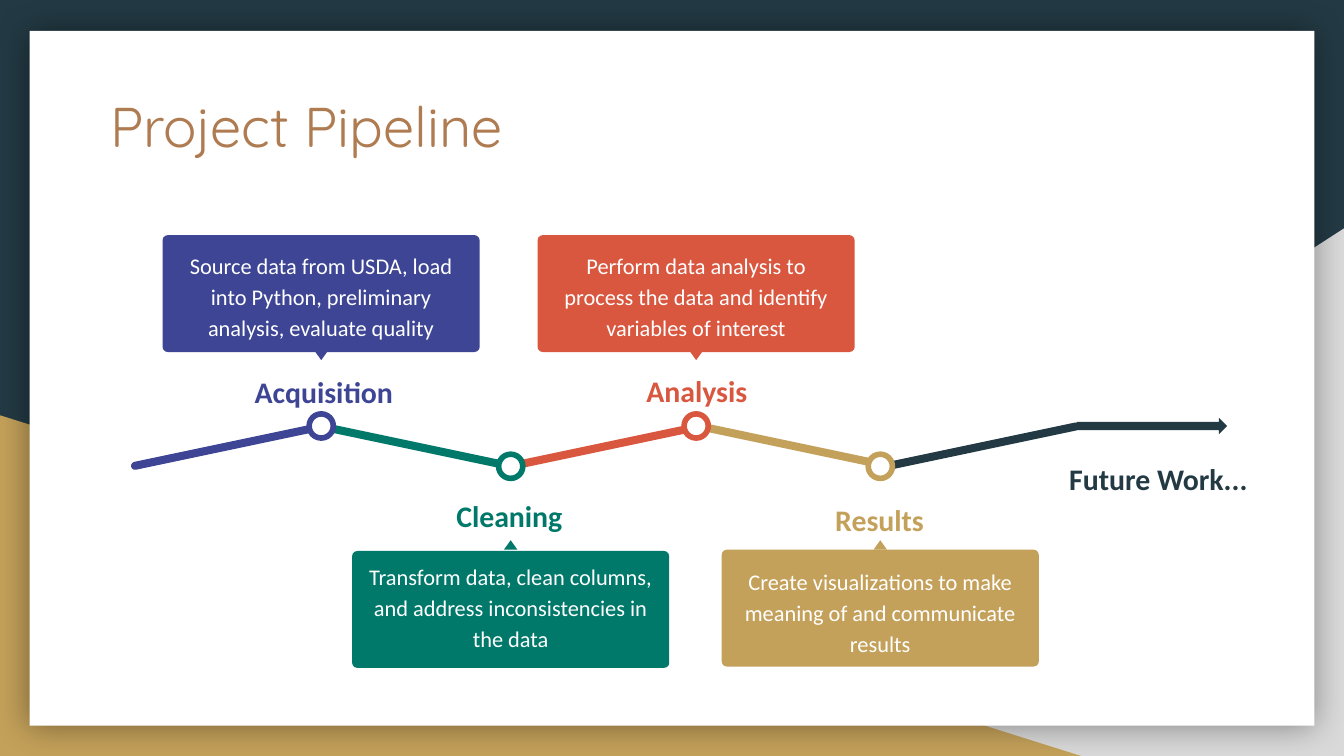
from lxml import etree
from pptx import Presentation
from pptx.dml.color import RGBColor
from pptx.enum import shapes, text
from pptx.oxml.ns import qn
from pptx.util import Inches, Pt

NAVY, GOLD, WHITE = "233A44", "C4A15A", "FFFFFF"
INDIGO, GREEN, RED = "3D4594", "00796B", "D9563F"
KIND = shapes.MSO_SHAPE

deck = Presentation()
deck.slide_width = Inches(10)
deck.slide_height = Inches(10) * 9 // 16
slide = deck.slides.add_slide(deck.slide_layouts[6])
slide.background.fill.solid()
slide.background.fill.fore_color.rgb = RGBColor.from_string(NAVY)


def add_block(kind, left, top, width, height, color, rotation=0):
    block = slide.shapes.add_shape(kind, Inches(left), Inches(top), Inches(width), Inches(height))
    block.shadow.inherit = False
    block.fill.solid()
    block.fill.fore_color.rgb = RGBColor.from_string(color)
    block.line.fill.background()
    block.rotation = rotation
    return block


def add_words(words, left, top, width, height, size, color, font="Calibri", bold=False, centered=True):
    frame = slide.shapes.add_textbox(Inches(left), Inches(top), Inches(width), Inches(height)).text_frame
    frame.word_wrap = True
    frame.margin_left = frame.margin_right = frame.margin_top = frame.margin_bottom = Inches(0.1)
    paragraph = frame.paragraphs[0]
    if centered:
        paragraph.alignment = text.PP_ALIGN.CENTER
        paragraph.line_spacing = 1.15
        paragraph.space_after = Pt(16)
    run = paragraph.add_run()
    run.text = words
    run.font.name, run.font.size, run.font.bold = font, Pt(size), bold
    run.font.color.rgb = RGBColor.from_string(color)


gray_corner = add_block(KIND.RIGHT_TRIANGLE, 3.92, 1.7, 6.08, 3.93, "D9D9D9")
gray_corner._element.spPr.xfrm.set("flipH", "1")
add_block(KIND.RIGHT_TRIANGLE, 0, 3.09, 8.06, 2.54, GOLD)

panel = add_block(KIND.RECTANGLE, 0.22, 0.23, 9.56, 5.17, WHITE)
effects = panel._element.spPr.find(qn("a:effectLst"))
glow = etree.SubElement(effects, qn("a:outerShdw"), blurRad=str(Pt(18)), dist="0", algn="ctr", rotWithShape="0")
black = etree.SubElement(glow, qn("a:srgbClr"), val="000000")
etree.SubElement(black, qn("a:alpha"), val="40000")

add_words("Project Pipeline", 0.72, 0.58, 8.21, 1.04, 30, "AF7B51", font="Quicksand", centered=False)

segments = [(6.57, NAVY), (5.17, GOLD), (3.77, RED), (2.35, GREEN), (0.96, INDIGO)]
for index, (left, color) in enumerate(segments):
    segment = add_block(KIND.ROUNDED_RECTANGLE, left, 3.29, 1.48, 0.06, color, 11.9 if index % 2 else 348.1)
    segment.adjustments[0] = 0.5
add_block(KIND.RIGHT_ARROW, 8.01, 3.11, 1.12, 0.12, NAVY)

stages = [
    ("Acquisition", 2.39, INDIGO, (1.52, 2.64, 1.78, 0.5), 1.75, 1.75,
     "Source data from USDA, load into Python, preliminary analysis, evaluate quality"),
    ("Cleaning", 3.8, GREEN, (3.02, 3.56, 1.54, 0.41), 4.1, 4.06,
     "Transform data, clean columns, and address inconsistencies in the data"),
    ("Analysis", 5.18, RED, (4.66, 2.63, 1.05, 0.54), 1.75, 1.75,
     "Perform data analysis to process the data and identify variables of interest"),
    ("Results", 6.55, GOLD, (6.03, 3.59, 1.03, 0.54), 4.09, 4.1,
     "Create visualizations to make meaning of and communicate results"),
]
for name, center, color, name_box, card_top, detail_top, detail in stages:
    above = card_top < 3
    card = add_block(KIND.ROUNDED_RECTANGLE, center - 1.18, card_top, 2.36, 0.87, color)
    card.adjustments[0] = 0.045
    add_block(KIND.ISOSCELES_TRIANGLE, center - 0.05, 2.61 if above else 4.02, 0.1, 0.07, color, 180 if above else 0)
    marker = add_block(KIND.OVAL, center - 0.09, 3.08 if above else 3.38, 0.18, 0.18, WHITE, 330.2)
    marker.line.color.rgb = RGBColor.from_string(color)
    marker.line.width = Pt(3)
    add_words(name, *name_box, 16, color, bold=True)
    add_words(detail, center - 1.18, detail_top, 2.36, 0.87, 12, WHITE)

add_words("Future Work...", 7.73, 3.29, 1.78, 0.54, 16, NAVY, bold=True)

deck.save("out.pptx")
